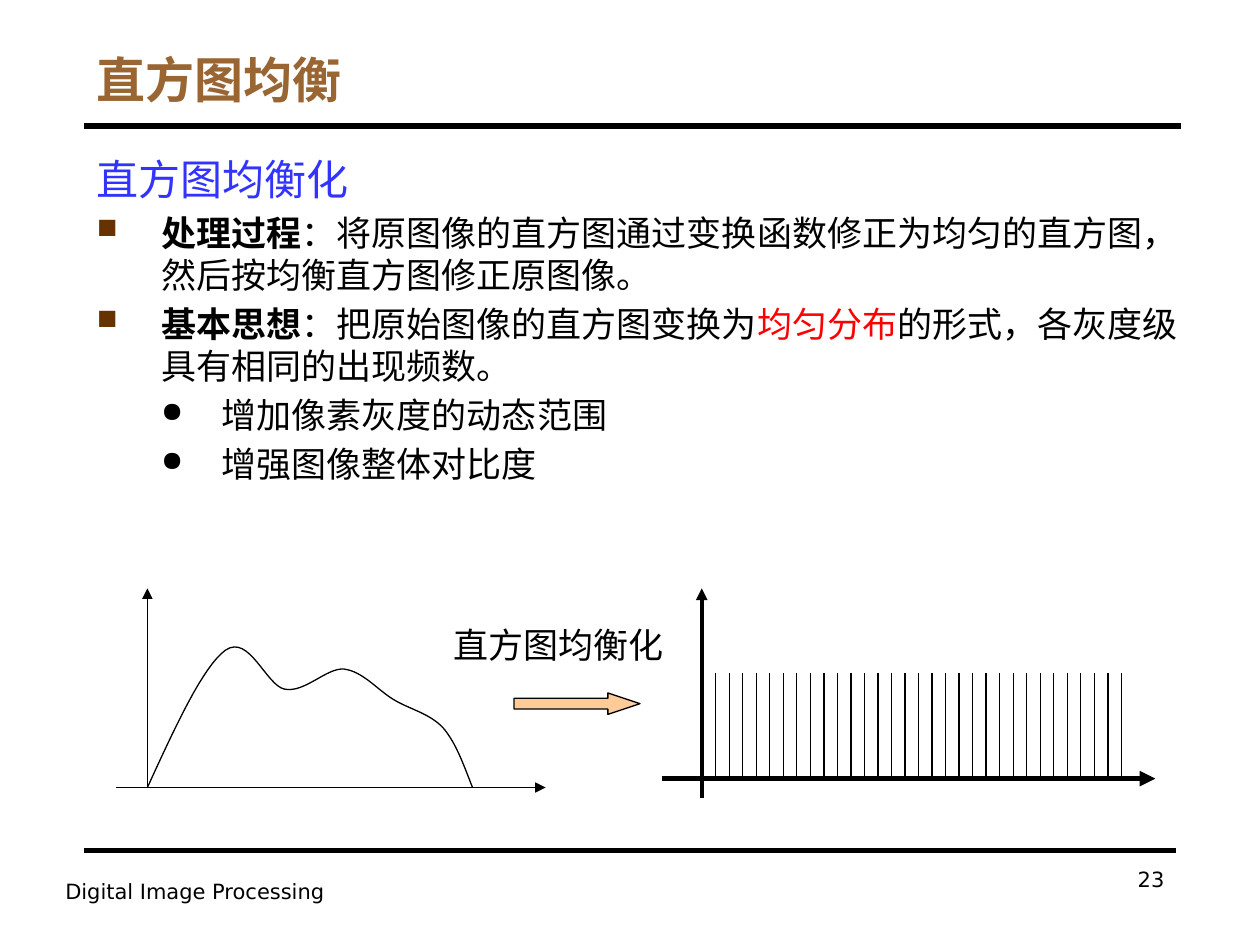
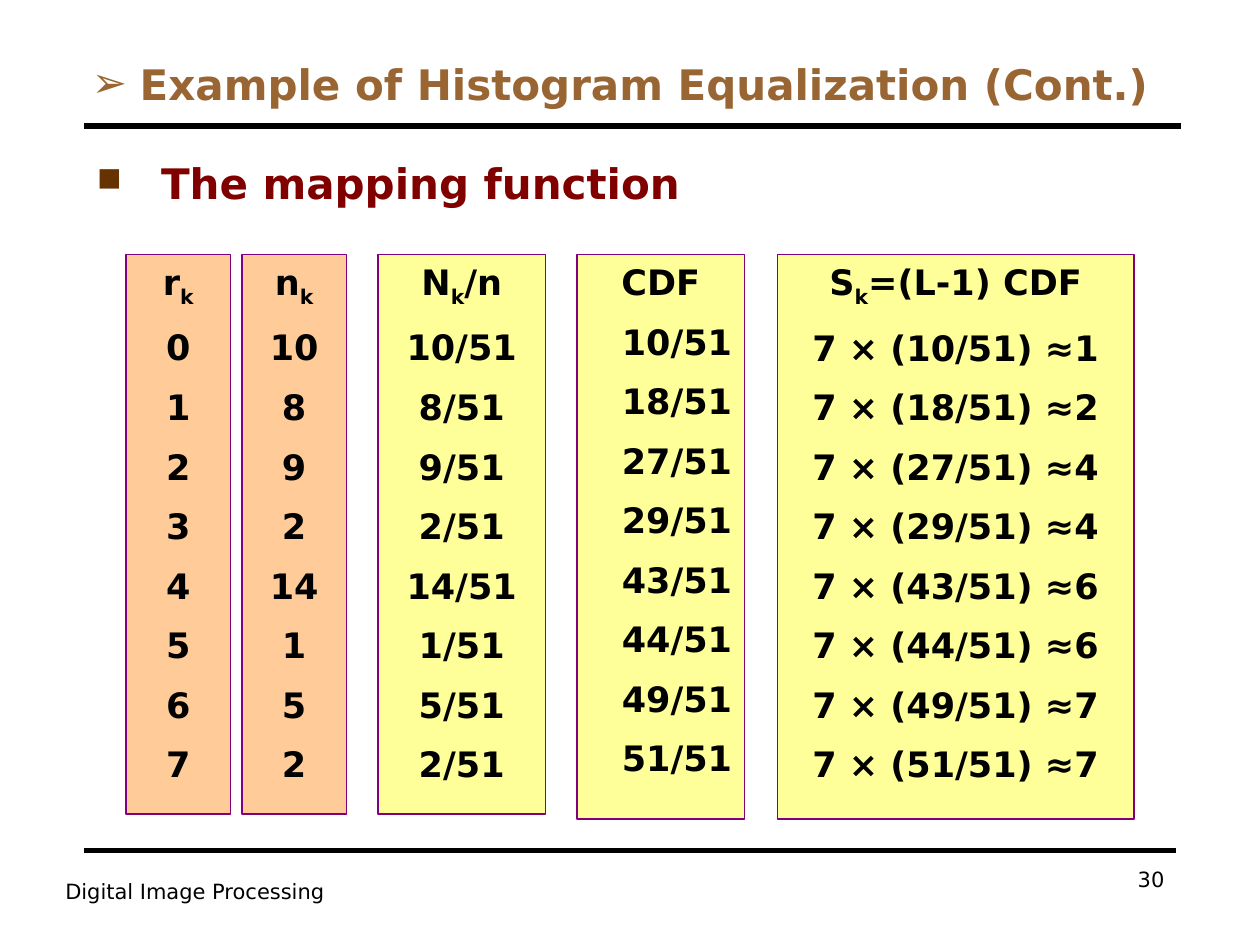
from lxml import etree
from pptx import Presentation
from pptx import util as u
from pptx.dml.color import RGBColor
from pptx.enum import shapes, text
from pptx.oxml import ns

COLORS = {
    "ink": "000000", "title": "996633", "heading": "3333FF", "bullet": "663300",
    "accent": "FF0000", "maroon": "800000", "border": "800080",
    "peach": "FFCC99", "yellow": "FFFF99",
}
LATIN, CHINESE = "DejaVu Sans", "Noto Sans CJK SC"
ALIGN = {"l": text.PP_ALIGN.LEFT, "c": text.PP_ALIGN.CENTER, "r": text.PP_ALIGN.RIGHT}
SQUARE = dict(char="■", color="bullet", size=80, left=0.51, hang=0.51)
DOT = dict(char="●", color="ink", size=80, left=0.99, hang=0.48)
CHEVRON = dict(char="➢", color="title", size=100, left=0.38, hang=0.38, font=LATIN)


def rgb(name):
    """Return the palette colour of that name."""
    return RGBColor.from_string(COLORS[name])


def add_child(parent, tag, **attributes):
    """Append a DrawingML element to parent and return it."""
    child = etree.SubElement(parent, ns.qn("a:" + tag))
    for key, value in attributes.items():
        child.set(key, str(value))
    return child


def set_bullet(paragraph, char, color, size, left, hang, font=None):
    """Give a paragraph a hanging bullet."""
    props = paragraph._p.get_or_add_pPr()
    props.set("marL", str(u.Inches(left)))
    props.set("indent", str(-u.Inches(hang)))
    add_child(add_child(props, "buClr"), "srgbClr", val=COLORS[color])
    add_child(props, "buSzPct", val=size * 1000)
    if font:
        add_child(props, "buFont", typeface=font)
    add_child(props, "buChar", char=char)


def add_run(paragraph, words, size=20, color="ink", bold=False, font=LATIN, baseline=0):
    """Add one formatted run."""
    run = paragraph.add_run()
    run.text = words
    run.font.size = u.Pt(size)
    run.font.bold = bold
    run.font.color.rgb = rgb(color)
    run.font.name = font
    props = run._r.get_or_add_rPr()
    add_child(props, "ea", typeface=font)
    if baseline:
        props.set("baseline", str(baseline * 1000))


def write(frame, runs, align="l", bullet=None, before=0, spacing=None, **style):
    """Write one paragraph; a run is a string or a (string, overrides) pair."""
    fresh = not frame.paragraphs[0].runs
    paragraph = frame.paragraphs[0] if fresh else frame.add_paragraph()
    paragraph.alignment = ALIGN[align]
    if before and not fresh:
        paragraph.space_before = u.Pt(before)
    if spacing:
        paragraph.line_spacing = spacing
    if bullet:
        set_bullet(paragraph, **bullet)
    for run in [runs] if isinstance(runs, str) else runs:
        words, changes = (run, {}) if isinstance(run, str) else run
        add_run(paragraph, words, **{**style, **changes})


def add_frame(slide, box, anchor=text.MSO_ANCHOR.TOP, wrap=True):
    """Add an empty text box and return its frame."""
    frame = slide.shapes.add_textbox(*map(u.Inches, box)).text_frame
    frame.word_wrap = wrap
    frame.vertical_anchor = anchor
    return frame


def add_line(slide, start, end, width=0.75, arrow=False):
    """Draw a straight black line, with an arrowhead at its end if asked."""
    line = slide.shapes.add_connector(
        shapes.MSO_CONNECTOR.STRAIGHT, *map(u.Inches, (*start, *end)))
    line.line.color.rgb = rgb("ink")
    line.line.width = u.Pt(width)
    if arrow:
        add_child(line.line._get_or_add_ln(), "tailEnd", type="triangle")
    add_child(line._element.spPr, "effectLst")


def add_block(slide, kind, box, fill, border):
    """Add a flat filled preset shape."""
    block = slide.shapes.add_shape(kind, *map(u.Inches, box))
    block.shadow.inherit = False
    block.fill.solid()
    block.fill.fore_color.rgb = rgb(fill)
    block.line.color.rgb = rgb(border)
    block.line.width = u.Pt(0.75)
    return block


def start_slide(deck, title, number, left=0.67, size=28, bullet=None):
    """Add a slide with the shared title, rules and footer."""
    slide = deck.slides.add_slide(deck.slide_layouts[6])
    add_line(slide, (0.67, 1), (9.37, 1), 3.25)
    add_line(slide, (0.67, 6.75), (9.33, 6.75), 3.25)
    write(add_frame(slide, (0.42, 6.92, 2.83, 0.52)), "Digital Image Processing", size=12)
    write(add_frame(slide, (7.17, 6.83, 2.17, 0.52)), number, align="r", size=12)
    heading = add_frame(slide, (left, 0.33, 8.75, 0.58), text.MSO_ANCHOR.BOTTOM)
    write(heading, title, size=size, color="title", bold=True, bullet=bullet)
    return slide


def bezier(p0, p1, p2, p3, steps=16):
    """Return points along a cubic curve, without its start."""
    points = []
    for t in (step / steps for step in range(1, steps + 1)):
        weights = ((1 - t) ** 3, 3 * t * (1 - t) ** 2, 3 * t * t * (1 - t), t ** 3)
        points.append(tuple(sum(w * p[axis] for w, p in zip(weights, (p0, p1, p2, p3)))
                            for axis in (0, 1)))
    return points


def draw_source_histogram(slide, box):
    """Draw the uneven histogram as a curve over two axes."""
    left, top, width, height = box
    base, origin = top + height, left + 0.25
    add_line(slide, (left, base), (left + width, base), arrow=True)
    knots = [(0, 0), (0.22, 0.48), (0.44, 0.96), (0.62, 1.09), (0.81, 1.22),
             (0.94, 0.81), (1.09, 0.78), (1.25, 0.75), (1.42, 0.95), (1.56, 0.94),
             (1.71, 0.92), (1.82, 0.78), (1.95, 0.7), (2.08, 0.62), (2.24, 0.59),
             (2.35, 0.47), (2.45, 0.35), (2.51, 0.18), (2.58, 0)]
    knots = [(u.Inches(origin + x), u.Inches(base - y)) for x, y in knots]
    points = [point for i in range(0, len(knots) - 1, 3) for point in bezier(*knots[i:i + 4])]
    builder = slide.shapes.build_freeform(*knots[0])
    builder.add_line_segments(points, close=False)
    curve = builder.convert_to_shape()
    curve.shadow.inherit = False
    curve.fill.background()
    curve.line.color.rgb = rgb("ink")
    curve.line.width = u.Pt(0.75)
    add_line(slide, (origin, base), (origin, top), arrow=True)


def draw_flat_histogram(slide, box, bars=31):
    """Draw the equalized histogram as evenly spaced bars of one height."""
    left, top, width, height = box
    base, origin = top + height - 0.15, left + 0.32
    add_line(slide, (left, base), (left + width, base), 3, arrow=True)
    add_line(slide, (origin, top + height), (origin, top), 2.25, arrow=True)
    gap = 3.22 / (bars - 1)
    for bar in range(bars):
        x = origin + 0.11 + bar * gap
        add_line(slide, (x, base), (x, base - 0.84))


def draw_transform(slide, box):
    """Place the label of the transform above its arrow."""
    left, top, width, height = box
    arrow = add_block(slide, shapes.MSO_SHAPE.RIGHT_ARROW,
                      (left + 0.58, top + 0.6, 1, 0.17), "peach", "ink")
    arrow.adjustments[1] = 1.5
    write(add_frame(slide, (left, top, width, height), wrap=False), "直方图均衡化", font=CHINESE)


def build_concept(deck):
    """Build the slide on the idea of equalization."""
    slide = start_slide(deck, "直方图均衡", "23")
    draw_flat_histogram(slide, (5.25, 4.67, 3.92, 1.66))
    draw_source_histogram(slide, (0.92, 4.67, 3.41, 1.58))
    draw_transform(slide, (3.5, 4.9, 1.87, 0.43))
    body = add_frame(slide, (0.67, 1.17, 8.83, 5.42))
    write(body, "直方图均衡化", size=24, color="heading")
    strong = dict(bold=True)
    for runs in (
        [("处理过程", strong),
         "：将原图像的直方图通过变换函数修正为均匀的直方图，然后按均衡直方图修正原图像。"],
        [("基本思想", strong), "：把原始图像的直方图变换为",
         ("均匀分布", dict(color="accent")), "的形式，各灰度级具有相同的出现频数。"],
    ):
        write(body, runs, bullet=SQUARE, before=4)
    for benefit in ("增加像素灰度的动态范围", "增强图像整体对比度"):
        write(body, benefit, bullet=DOT, before=4)


def draw_column(slide, box, fill, header, values, align="c"):
    """Draw one bordered column: a header over its values."""
    frame = add_block(slide, shapes.MSO_SHAPE.RECTANGLE, box, fill, "border").text_frame
    frame.word_wrap = True
    frame.vertical_anchor = text.MSO_ANCHOR.TOP
    write(frame, header, align="c", bold=True)
    for value in values:
        write(frame, value, align=align, before=10, bold=True)


def build_mapping(deck):
    """Build the slide with the worked mapping, column by column."""
    slide = start_slide(deck, "Example of Histogram Equalization (Cont.)", "30",
                        left=0.63, size=24, bullet=CHEVRON)
    write(add_frame(slide, (0.67, 1.25, 8.5, 0.6)), "The mapping function", size=24,
          color="maroon", bold=True, bullet=SQUARE, spacing=0.9)
    counts = [10, 8, 9, 2, 14, 1, 5, 2]
    total, top_level = sum(counts), len(counts) - 1
    sums = [sum(counts[:i + 1]) for i in range(len(counts))]
    sub_k = ("k", dict(baseline=-25))
    mapped = [f"7 × ({s}/{total}) ≈{round(top_level * s / total)}" for s in sums]
    columns = [
        (1, 0.83, 4.44, "peach", ["r", sub_k], [str(level) for level in range(len(counts))], "c"),
        (1.92, 0.83, 4.44, "peach", ["n", sub_k], [str(count) for count in counts], "c"),
        (3, 1.33, 4.44, "yellow", ["N", sub_k, "/n"], [f"{c}/{total}" for c in counts], "c"),
        (4.58, 1.33, 4.48, "yellow", "CDF", [f"{s}/{total}" for s in sums], "r"),
        (6.17, 2.83, 4.48, "yellow", ["S", sub_k, "=(L-1) CDF"], mapped, "c"),
    ]
    for left, width, height, *content in columns:
        draw_column(slide, (left, 2.02, width, height), *content)


def main():
    """Build and save the deck."""
    deck = Presentation()
    deck.slide_width, deck.slide_height = u.Inches(10), u.Inches(7.5)
    build_concept(deck)
    build_mapping(deck)
    deck.save("out.pptx")


if __name__ == "__main__":
    main()
